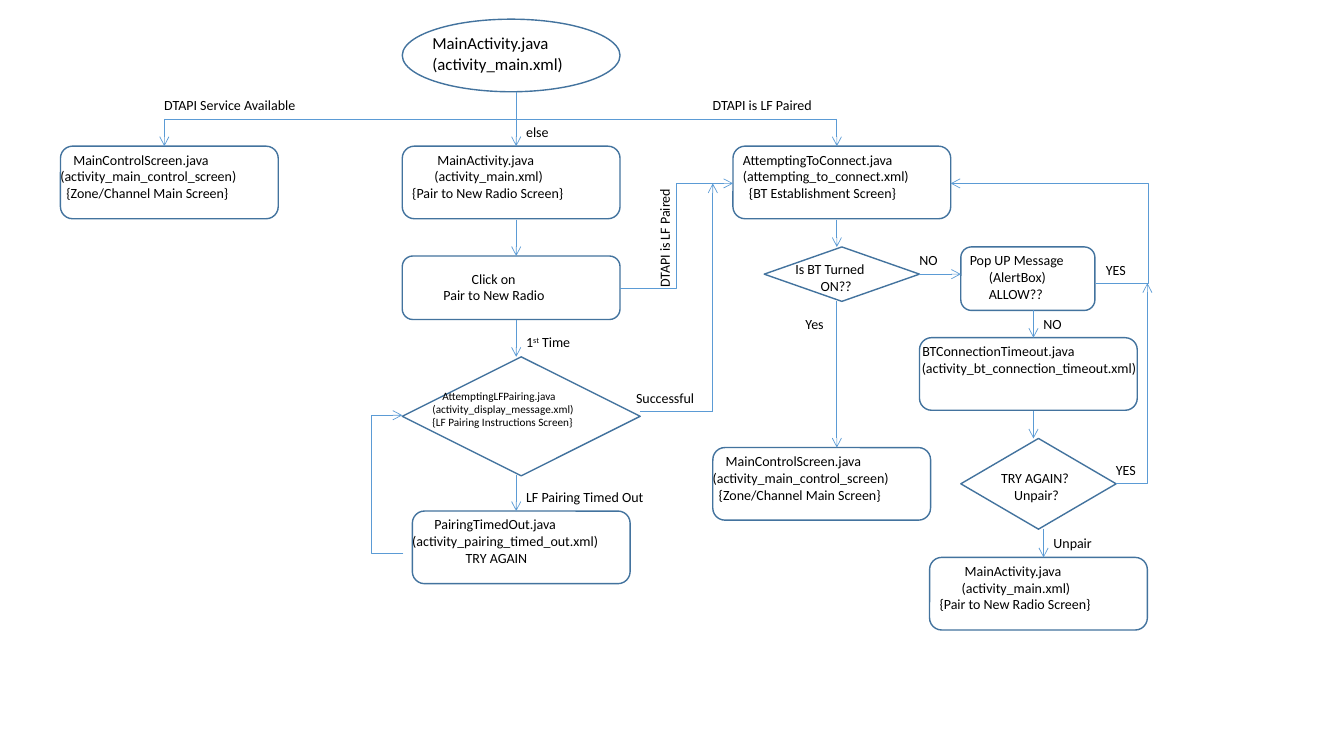
from lxml.etree import SubElement
from pptx import Presentation
from pptx.dml.color import RGBColor
from pptx.enum.shapes import MSO_CONNECTOR, MSO_SHAPE
from pptx.enum.text import MSO_AUTO_SIZE, PP_ALIGN
from pptx.oxml.ns import qn
from pptx.util import Inches, Pt

OUTLINE = RGBColor(0x43, 0x73, 0x9E)
FLOW = RGBColor(0x5B, 0x9B, 0xD5)
BLACK = RGBColor(0, 0, 0)
CENTERED = None

# Each line of a block is its text and its left indent in inches.
PAIR_SCREEN = [("MainActivity.java", 0.25), ("(activity_main.xml)", 0.22),
               ("{Pair to New Radio Screen}", 0)]
CONTROL_SCREEN = [("MainControlScreen.java", 0.13),
                  ("(activity_main_control_screen)", 0),
                  ("{Zone/Channel Main Screen}", 0.06)]


class Flowchart:
    def __init__(self, slide, font_name="Calibri", size=10):
        self.slide = slide
        self.font_name = font_name
        self.size = size

    def node(self, left, top, width, height, kind=MSO_SHAPE.ROUNDED_RECTANGLE):
        shape = self.slide.shapes.add_shape(
            kind, Inches(left), Inches(top), Inches(width), Inches(height))
        shape.shadow.inherit = False
        shape.fill.background()
        shape.line.color.rgb = OUTLINE
        shape.line.width = Pt(1)

    def style(self, paragraph, size=None):
        paragraph.font.name = self.font_name
        paragraph.font.size = Pt(size or self.size)
        paragraph.font.color.rgb = BLACK

    def text_box(self, left, top, width, height, wrap):
        shape = self.slide.shapes.add_textbox(
            Inches(left), Inches(top), Inches(width), Inches(height))
        shape.text_frame.word_wrap = wrap
        shape.text_frame.auto_size = MSO_AUTO_SIZE.SHAPE_TO_FIT_TEXT
        return shape

    def block(self, left, top, width, height, lines, size=None):
        frame = self.text_box(left, top, width, height, True).text_frame
        for index, (text, indent) in enumerate(lines):
            paragraph = frame.add_paragraph() if index else frame.paragraphs[0]
            paragraph.text = text
            if indent is CENTERED:
                paragraph.alignment = PP_ALIGN.CENTER
            elif indent:
                paragraph._p.get_or_add_pPr().set("marL", str(Inches(indent)))
            self.style(paragraph, size)

    def label(self, left, top, width, *parts, height=0.29, rotation=0):
        """Add a one-line label; a second part is raised as a superscript."""
        shape = self.text_box(left, top, width, height, False)
        shape.rotation = rotation
        paragraph = shape.text_frame.paragraphs[0]
        for index, part in enumerate(parts):
            run = paragraph.add_run()
            run.text = part
            if index == 1:
                run.font._element.set("baseline", "30000")
        self.style(paragraph)

    def line(self, start, end, arrow=True, kind=MSO_CONNECTOR.STRAIGHT):
        connector = self.slide.shapes.add_connector(
            kind, *map(Inches, start), *map(Inches, end))
        connector.line.color.rgb = FLOW
        connector.line.width = Pt(0.5)
        if arrow:
            SubElement(connector.line._get_or_add_ln(), qn("a:tailEnd"), type="arrow")
        SubElement(connector._element.spPr, qn("a:effectLst"))
        return connector

    def elbow(self, start, end, bend=0.5):
        """Add a two-corner arrow; bend is the middle leg's share of the width."""
        connector = self.line(start, end, kind=MSO_CONNECTOR.ELBOW)
        geometry = connector._element.spPr.find(qn("a:prstGeom"))
        adjustments = geometry.find(qn("a:avLst"))
        if adjustments is None:
            adjustments = SubElement(geometry, qn("a:avLst"))
        SubElement(adjustments, qn("a:gd"), name="adj1",
                   fmla=f"val {round(bend * 100000)}")

    def corner(self, start, end):
        """Add an arrow that runs across, then turns once."""
        connector = self.line(start, end, kind=MSO_CONNECTOR.ELBOW)
        geometry = connector._element.spPr.find(qn("a:prstGeom"))
        geometry.set("prst", "bentConnector2")


def draw_nodes(chart):
    chart.node(3.99, 0.19, 2.16, 0.72, MSO_SHAPE.OVAL)
    for left, top in [(0.6, 1.45), (3.99, 1.45), (7.27, 1.45), (4.09, 5.07),
                      (9.12, 3.35), (9.22, 5.53), (7.07, 4.44)]:
        chart.node(left, top, 2.16, 0.72)
    chart.node(3.99, 2.54, 2.16, 0.63)
    chart.node(9.53, 2.45, 1.33, 0.63)
    for decision in [(3.99, 3.54, 2.36, 1.18), (7.58, 2.45, 1.54, 0.54),
                     (9.53, 4.35, 1.54, 0.9)]:
        chart.node(*decision, MSO_SHAPE.DIAMOND)


def draw_flow(chart):
    main_x, connect_x, popup_x = 5.12, 8.3, 10.25
    for x, top, bottom in [
            (main_x, 0.91, 1.45), (1.63, 1.18, 1.45), (connect_x, 1.18, 1.45),
            (main_x, 2.18, 2.54), (main_x, 3.17, 3.54), (main_x, 4.71, 5.07),
            (connect_x, 2.18, 2.45), (connect_x, 2.99, 4.44),
            (popup_x, 3.08, 3.35), (popup_x, 4.08, 4.35),
            (10.35, 5.25, 5.53), (7.07, 4.08, 1.82)]:
        chart.line((x, top), (x, bottom))
    chart.line((9.12, 2.72), (9.53, 2.72))
    for start_x, end_x, y in [(main_x, 1.63, 1.18), (connect_x, 4.81, 1.18),
                              (6.35, 7.07, 4.08)]:
        chart.line((start_x, y), (end_x, y), arrow=False)
    chart.elbow((6.15, 2.86), (7.27, 1.82))
    chart.elbow((4, 5.49), (3.99, 4.12), bend=32)
    chart.elbow((10.87, 2.81), (9.43, 1.82), bend=-0.36)
    chart.corner((11.07, 4.8), (11.38, 2.81))


def draw_blocks(chart):
    chart.block(4.19, 0.28, 1.86, 0.55,
                [("MainActivity.java", 0), ("(activity_main.xml)", 0)], size=12)
    for left, top in [(3.99, 1.45), (9.22, 5.53)]:
        chart.block(left, top, 2.16, 0.66, PAIR_SCREEN)
    for left, top in [(0.5, 1.45), (6.97, 4.44)]:
        chart.block(left, top, 2.43, 0.66, CONTROL_SCREEN)
    chart.block(7.27, 1.45, 2.32, 0.66,
                [("AttemptingToConnect.java", 0), ("(attempting_to_connect.xml)", 0),
                 ("{BT Establishment Screen}", 0.06)])
    chart.block(4.3, 2.63, 1.64, 0.47,
                [("Click on", 0.28), ("Pair to New Radio", 0)])
    chart.block(4.19, 3.81, 2.43, 0.73,
                [("AttemptingLFPairing.java", 0.1),
                 ("(activity_display_message.xml)", 0),
                 ("{LF Pairing Instructions Screen}", 0)], size=8)
    chart.block(3.99, 5.07, 2.55, 0.66,
                [("PairingTimedOut.java", 0.22),
                 ("(activity_pairing_timed_out.xml)", 0), ("TRY AGAIN", 0.53)])
    chart.block(7.79, 2.54, 1.23, 0.47, [("Is BT Turned", 0), ("ON??", 0.25)])
    chart.block(9.43, 2.45, 1.64, 0.66,
                [("Pop UP Message", 0.09), ("(AlertBox)", 0.28), ("ALLOW??", 0.28)])
    chart.block(8.92, 3.35, 2.57, 0.47,
                [("BTConnectionTimeout.java", 0.13),
                 ("(activity_bt_connection_timeout.xml)", CENTERED)])
    chart.block(9.74, 4.61, 1.23, 0.47, [("TRY AGAIN?", 0.09), ("Unpair?", 0.22)])


def draw_labels(chart):
    for left, top, width, text in [
            (1.53, 0.91, 1.89, "DTAPI Service Available"),
            (6.97, 0.91, 1.49, "DTAPI is LF Paired"),
            (5.12, 1.18, 0.53, "else"),
            (6.21, 3.81, 0.99, "Successful"),
            (5.12, 4.8, 1.7, "LF Pairing Timed Out"),
            (9.02, 2.45, 0.47, "NO"),
            (10.25, 3.08, 0.47, "NO"),
            (10.87, 2.54, 0.5, "YES"),
            (10.97, 4.53, 0.5, "YES"),
            (10.35, 5.25, 0.72, "Unpair"),
            (7.89, 3.08, 0.49, "Yes")]:
        chart.label(left, top, width, text)
    chart.label(5.12, 3.26, 0.81, "1", "st", " Time")
    chart.label(5.96, 2.13, 1.32, "DTAPI is LF Paired", height=0.33, rotation=270)


def main():
    presentation = Presentation()
    presentation.slide_width = Inches(13.33)
    presentation.slide_height = Inches(7.5)
    chart = Flowchart(presentation.slides.add_slide(presentation.slide_layouts[6]))
    draw_nodes(chart)
    draw_flow(chart)
    draw_blocks(chart)
    draw_labels(chart)
    presentation.save("out.pptx")


if __name__ == "__main__":
    main()
